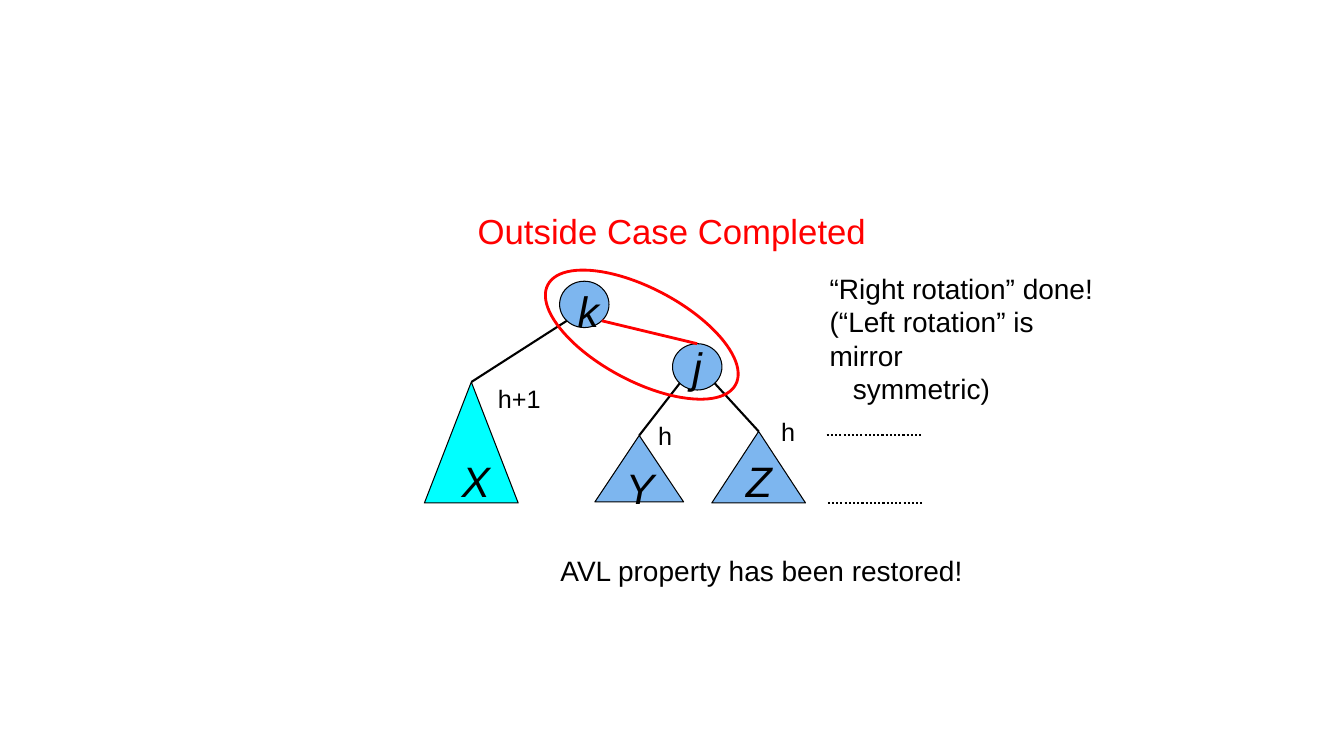
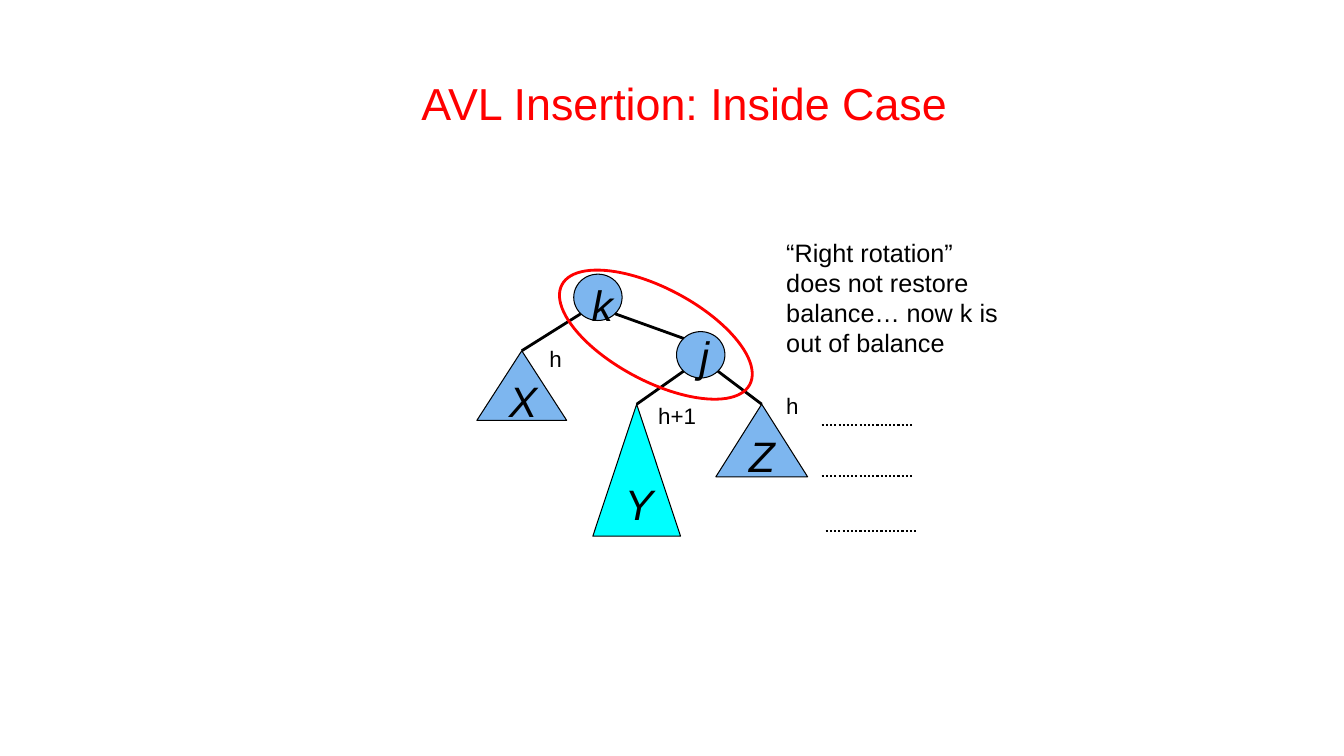
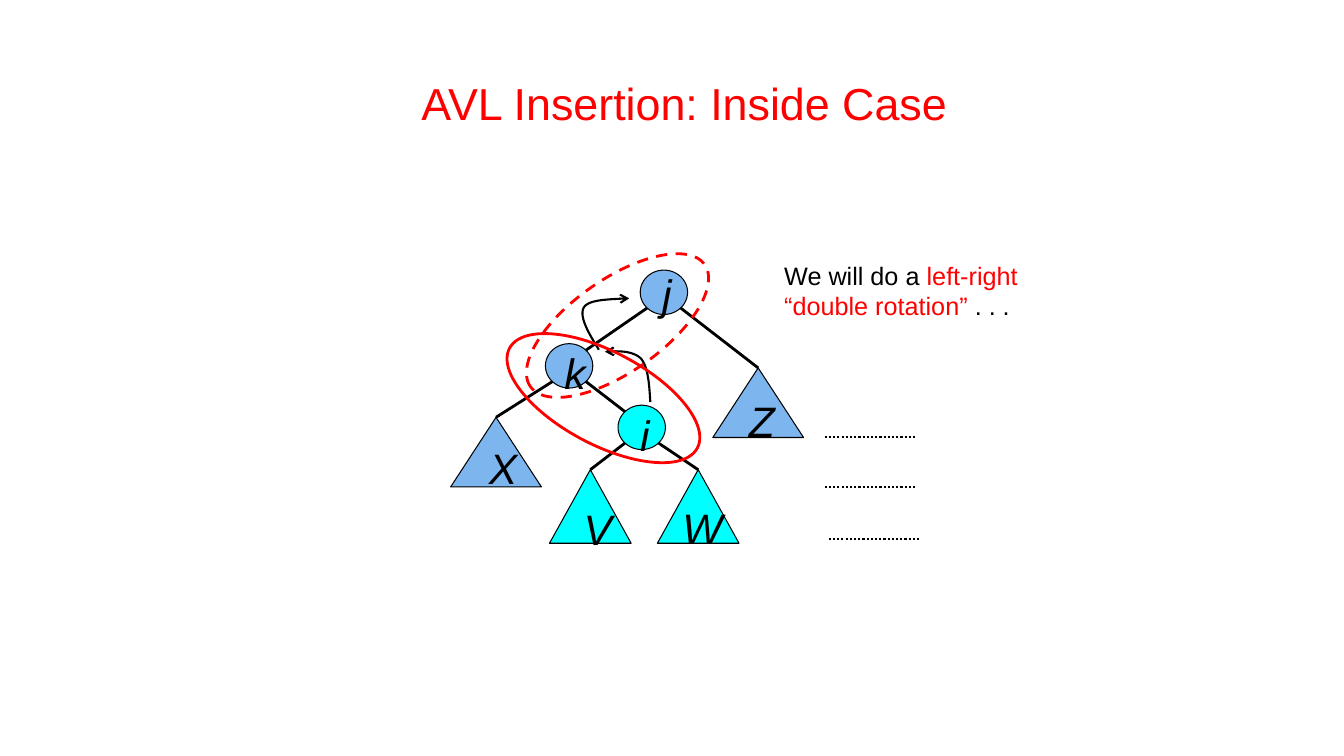
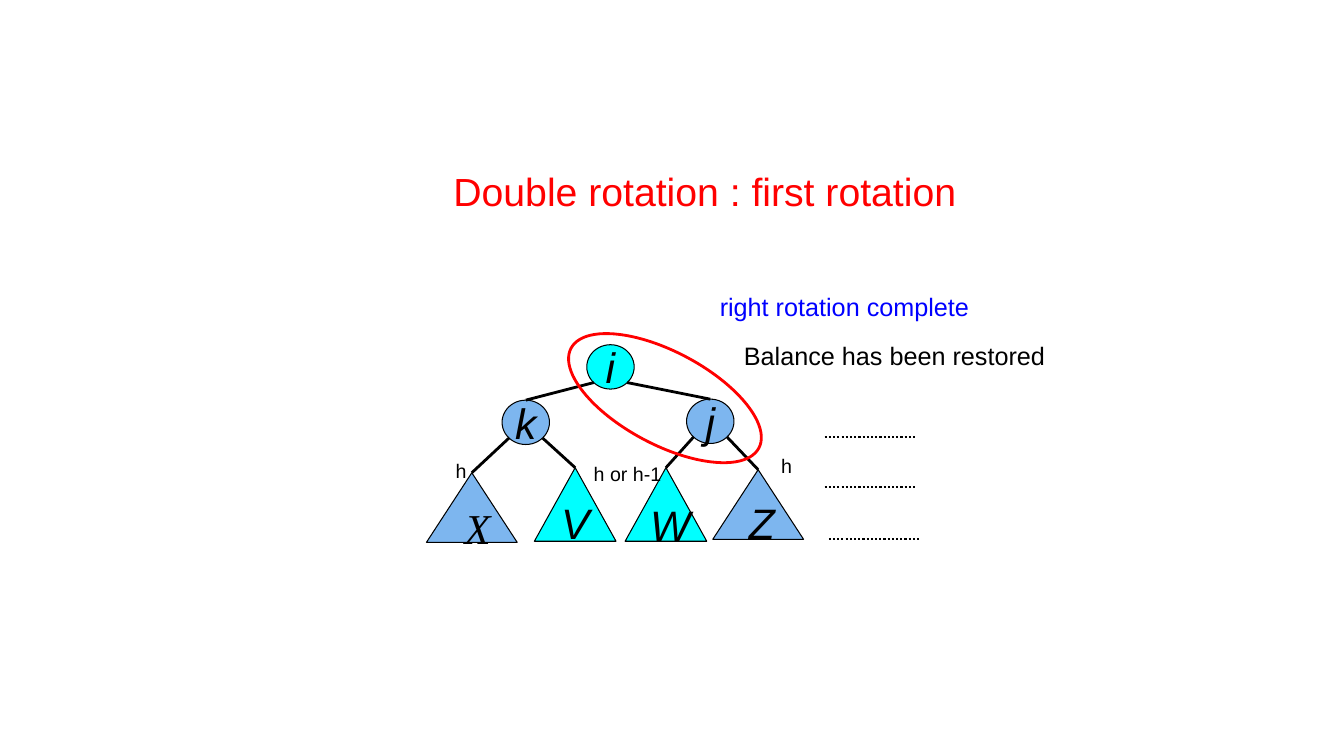
from dataclasses import dataclass, field
from math import sqrt

from lxml.etree import SubElement
from pptx import Presentation
from pptx.dml.color import RGBColor
from pptx.enum.dml import MSO_LINE
from pptx.enum.shapes import MSO_CONNECTOR, MSO_SHAPE
from pptx.enum.text import MSO_ANCHOR, PP_ALIGN
from pptx.oxml.ns import qn
from pptx.util import Inches, Pt

BLACK, RED, BLUE = "000000", "FF0000", "0000FF"
PLAIN, BRIGHT = "7DB6EF", "00FFFF"
SANS, SERIF = "Arial", "Times New Roman"
LETTER_SIZE = 30.4
LETTER_DROP = 0.5
RING_SIZE = (21.1, 9.2)
CELLS_PER_INCH = 10


@dataclass
class Box:
    left: float
    top: float
    width: float
    height: float

    def inner(self, left, top, width, height):
        return Box(self.left + left, self.top + top, width, height)

    def point(self, across, down):
        return self.left + across, self.top + down

    def frame(self):
        return [cells(n) for n in (self.left, self.top, self.width, self.height)]

    def spot(self, across, down):
        return self.point(self.width * across, self.height * down)


@dataclass
class Node:
    left: float
    top: float
    letter_at: tuple = None
    fill: str = PLAIN


@dataclass
class Subtree:
    left: float
    top: float
    width: float
    height: float
    letter_at: tuple = None
    fill: str = PLAIN
    font: str = SANS


@dataclass
class Tree:
    node_size: tuple
    nodes: dict
    subtrees: dict
    edges: list
    rings: list
    labels: list = field(default_factory=list)
    label_size: int = 18
    joint: str = "corner"
    edge_weight: float = 2
    red_edges: tuple = ()
    arrows: tuple = ()


TREE_BOX = Box(42, 25, 40, 30)


def cells(count):
    return Inches(count / CELLS_PER_INCH)


def color(value):
    return RGBColor.from_string(value)


def style_font(font, size, ink, name=SANS, italic=False):
    font.size = Pt(size)
    font.name = name
    font.italic = italic
    font.color.rgb = color(ink)


def style_line(line, ink, weight, dash=None):
    line.color.rgb = color(ink)
    line.width = Pt(weight)
    if dash:
        line.dash_style = dash


def write(page, box, lines, size, ink=BLACK, name=SANS, italic=False,
          align=PP_ALIGN.LEFT, anchor=MSO_ANCHOR.TOP):
    frame = page.shapes.add_textbox(*box.frame()).text_frame
    frame.word_wrap = True
    frame.vertical_anchor = anchor
    for number, line in enumerate(lines):
        para = frame.paragraphs[0] if number == 0 else frame.add_paragraph()
        para.alignment = align
        if isinstance(line, str):
            para.text = line
        else:
            for words, span_ink in line:
                span = para.add_run()
                span.text = words
                span.font.color.rgb = color(span_ink)
        style_font(para.font, size, ink, name, italic)
    return frame


def add_outline(page, preset, box, fill=None, ink=BLACK, weight=0.75, dash=None):
    shape = page.shapes.add_shape(preset, *box.frame())
    shape.shadow.inherit = False
    if fill:
        shape.fill.solid()
        shape.fill.fore_color.rgb = color(fill)
    else:
        shape.fill.background()
    style_line(shape.line, ink, weight, dash)
    return shape


def add_line(page, start, end, ink=BLACK, weight=1.5, dash=None):
    ends = [cells(n) for n in (*start, *end)]
    line = page.shapes.add_connector(MSO_CONNECTOR.STRAIGHT, *ends)
    style_line(line.line, ink, weight, dash)
    SubElement(line._element.spPr, qn("a:effectLst"))


def add_lettered(page, preset, box, letter, letter_at, fill, name=SANS):
    shape = add_outline(page, preset, box, fill)
    if letter_at:
        across, down = letter_at
        write(page, box.inner(across, down + LETTER_DROP, 3, 6.1), [letter],
              LETTER_SIZE, name=name, italic=True)
        return
    frame = shape.text_frame
    frame.word_wrap = False
    frame.vertical_anchor = MSO_ANCHOR.MIDDLE
    para = frame.paragraphs[0]
    para.text = letter
    para.alignment = PP_ALIGN.CENTER
    style_font(para.font, LETTER_SIZE, BLACK, name, True)


def curve_points(points, steps=12):
    for first in range(0, len(points) - 1, 3):
        a, b, c, d = points[first:first + 4]
        for step in range(1, steps + 1):
            t = step / steps
            weights = (1 - t) ** 3, 3 * t * (1 - t) ** 2, 3 * t * t * (1 - t), t ** 3
            yield tuple(sum(w * p[axis] for w, p in zip(weights, (a, b, c, d)))
                        for axis in (0, 1))


def add_arrow(page, box, points):
    placed = [box.point(*point) for point in points]
    start = [cells(n) for n in placed[0]]
    builder = page.shapes.build_freeform(*start)
    builder.add_line_segments(
        [(cells(x), cells(y)) for x, y in curve_points(placed)], close=False)
    arrow = builder.convert_to_shape()
    arrow.shadow.inherit = False
    arrow.fill.background()
    style_line(arrow.line, BLACK, 1.5)
    SubElement(arrow.line._get_or_add_ln(), qn("a:tailEnd"), type="arrow")


def draw_edge(page, tree, boxes, parent, child):
    upper, lower = boxes[parent], boxes[child]
    side = 1 if lower.spot(0.5, 0)[0] > upper.spot(0.5, 0)[0] else -1
    reach = sqrt(0.125)
    start = upper.spot(0.5 + side * reach, 0.5 + reach)
    if child in tree.nodes and tree.joint == "corner":
        end = lower.spot(0.5 - side * reach, 0.5 - reach)
    else:
        end = lower.spot(0.5, 0)
    if parent + child in tree.red_edges:
        add_line(page, start, end, RED, 2)
    else:
        add_line(page, start, end, BLACK, tree.edge_weight)


def draw_tree(page, box, tree):
    boxes = {}
    for letter, node in tree.nodes.items():
        boxes[letter] = box.inner(node.left, node.top, *tree.node_size)
        add_lettered(page, MSO_SHAPE.OVAL, boxes[letter], letter,
                     node.letter_at, node.fill)
    for letter, sub in tree.subtrees.items():
        boxes[letter] = box.inner(sub.left, sub.top, sub.width, sub.height)
        add_lettered(page, MSO_SHAPE.ISOSCELES_TRIANGLE, boxes[letter], letter,
                     sub.letter_at, sub.fill, sub.font)
    for parent, child in tree.edges:
        draw_edge(page, tree, boxes, parent, child)
    for points in tree.arrows:
        add_arrow(page, box, points)
    for left, top, angle, dash in tree.rings:
        ring = add_outline(page, MSO_SHAPE.OVAL, box.inner(left, top, *RING_SIZE),
                           ink=RED, weight=2, dash=dash)
        ring.rotation = angle
    for words, left, top in tree.labels:
        write(page, box.inner(left, top, 10, 4), [words], tree.label_size)


def draw_title(page, box, words, size):
    frame = write(page, box, [words], size, RED, align=PP_ALIGN.CENTER,
                  anchor=MSO_ANCHOR.MIDDLE)
    frame.margin_left = frame.margin_right = cells(0.6)
    frame.margin_top = frame.margin_bottom = cells(0.3)


def draw_guides(page, box, marks):
    for across, down in marks:
        left, level = box.point(across, down)
        add_line(page, (left, level), (left + box.width, level),
                 dash=MSO_LINE.ROUND_DOT)


def draw_inside_title(page):
    draw_title(page, Box(38.8, 7.6, 58.2, 5.1), "AVL Insertion: Inside Case", 32)


def draw_double_guides(page):
    draw_guides(page, Box(81.8, 43.4, 9, 10), [(0, 0), (0, 4.9), (0.4, 10.1)])


def outside_case(page):
    draw_title(page, Box(42.6, 20.4, 48.1, 4.9), "Outside Case Completed", 24.8)
    draw_tree(page, TREE_BOX, Tree(
        node_size=(4.9, 4.6),
        nodes={"j": Node(24.7, 9.1), "k": Node(13.5, 2.9, (0.8, -0.6))},
        subtrees={"X": Subtree(0.1, 12.9, 9.3, 12, (2.7, 6.2), BRIGHT),
                  "Y": Subtree(17, 18.2, 8.8, 6.6, (2.1, 1.6)),
                  "Z": Subtree(28.6, 17.8, 9.3, 7.1, (2.4, 1.3))},
        edges=["kX", "jY", "jZ", "kj"],
        rings=[(11.1, 3.6, 28, None)],
        labels=[("h", 34.5, 15.8), ("h+1", 6.4, 12.5), ("h", 22.3, 16.2)],
        joint="top", edge_weight=1.5, red_edges=("kj",)))
    draw_guides(page, Box(82, 43.2, 9.3, 7), [(0, 0), (0.1, 6.7)])
    note = write(page, Box(81.3, 26.4, 30.2, 14.5),
                 ["“Right rotation” done!", "(“Left rotation” is mirror", "symmetric)"], 20)
    note.paragraphs[2]._p.get_or_add_pPr().set("marL", str(cells(2.3)))
    write(page, Box(54.6, 54.4, 45, 4.4), ["AVL property has been restored!"], 20)


def inside_case(page):
    draw_inside_title(page)
    draw_tree(page, TREE_BOX, Tree(
        node_size=(4.8, 4.6),
        nodes={"j": Node(25.1, 7.9, (1.3, -1.2)), "k": Node(14.9, 2.2, (0.8, -0.5))},
        subtrees={"X": Subtree(5.3, 9.8, 8.9, 6.9, (2.2, 1.4)),
                  "Y": Subtree(16.8, 15.1, 8.7, 13.1, (2.2, 6.3), BRIGHT),
                  "Z": Subtree(29, 15.1, 9.1, 7.2, (2.3, 1.6))},
        edges=["jY", "kX", "jZ", "kj"],
        rings=[(12.5, 3.6, 28, None)],
        labels=[("h", 35, 13.4), ("h+1", 22.3, 14.4), ("h", 11.5, 8.8)],
        label_size=16))
    draw_guides(page, Box(81.5, 42.2, 9.1, 10.5), [(0, 0), (0, 5), (0.4, 10.5)])
    write(page, Box(77, 23, 26, 13.1),
          ["“Right rotation”", "does not restore", "balance… now k is",
           "out of balance"], 18)


def double_rotation_plan(page):
    draw_inside_title(page)
    draw_tree(page, TREE_BOX, Tree(
        node_size=(4.7, 4.4),
        nodes={"j": Node(21.5, 1.8, (1.2, -1.2)),
               "k": Node(12.1, 9.1, (0.9, -0.7)),
               "i": Node(19.3, 15.2, (1.2, -0.6), BRIGHT)},
        subtrees={"X": Subtree(2.7, 16.4, 9, 6.9, (2.8, 1.5)),
                  "V": Subtree(12.5, 21.6, 8.1, 7.3, (2.4, 2.3), BRIGHT),
                  "W": Subtree(23.2, 21.6, 8.1, 7.3, (1.5, 2.2), BRIGHT),
                  "Z": Subtree(28.7, 11.5, 9, 6.9, (2.6, 1.7))},
        edges=["jk", "kX", "ki", "jZ", "iV", "iW"],
        rings=[(7.3, 9.9, 28, None), (8.7, 2.7, 325, MSO_LINE.DASH)],
        arrows=([(22.5, 14.9), (22.4, 13.2), (22.3, 11.5), (21.6, 10.6),
                 (20.8, 9.8), (19.4, 9.8), (18, 9.9)],
                [(17.4, 9.7), (16.4, 8.1), (15.4, 6.4), (15.9, 5.5),
                 (16.4, 4.7), (18.4, 4.7), (20.4, 4.6)])))
    draw_double_guides(page)
    write(page, Box(76.8, 25.3, 27, 7.1),
          [[("We will do a ", BLACK), ("left-right", RED)],
           [("“double rotation” ", RED), (". . .", BLACK)]], 18)


def double_rotation_done(page):
    draw_title(page, Box(43.1, 16.5, 53.6, 4.9), "Double rotation : first rotation", 28)
    draw_tree(page, TREE_BOX, Tree(
        node_size=(4.7, 4.4),
        nodes={"j": Node(26.1, 14.6), "k": Node(7.8, 14.7),
               "i": Node(16.2, 9.2, fill=BRIGHT)},
        subtrees={"X": Subtree(0.3, 21.9, 9, 6.9, (2.8, 1.9), font=SERIF),
                  "V": Subtree(11, 21.4, 8.1, 7.3, fill=BRIGHT),
                  "W": Subtree(20, 21.4, 8.1, 7.3, (1.5, 2.1), BRIGHT),
                  "Z": Subtree(28.7, 21.6, 9, 6.9, (2.6, 1.7))},
        edges=["ik", "ij", "kX", "kV", "jW", "jZ"],
        rings=[(13.4, 9.9, 28, None)],
        labels=[("h", 34.5, 19.5), ("h", 2.2, 20), ("h or h-1", 15.9, 20.3)],
        label_size=14, joint="top"))
    draw_double_guides(page)
    write(page, Box(70.4, 28.4, 42.2, 4), ["right rotation complete"], 18, BLUE)
    write(page, Box(72.8, 33.3, 35.8, 4), ["Balance has been restored"], 18)


def main():
    deck = Presentation()
    deck.slide_width, deck.slide_height = Inches(13.33), Inches(7.5)
    for draw in (outside_case, inside_case, double_rotation_plan, double_rotation_done):
        draw(deck.slides.add_slide(deck.slide_layouts[6]))
    deck.save("out.pptx")


if __name__ == "__main__":
    main()
